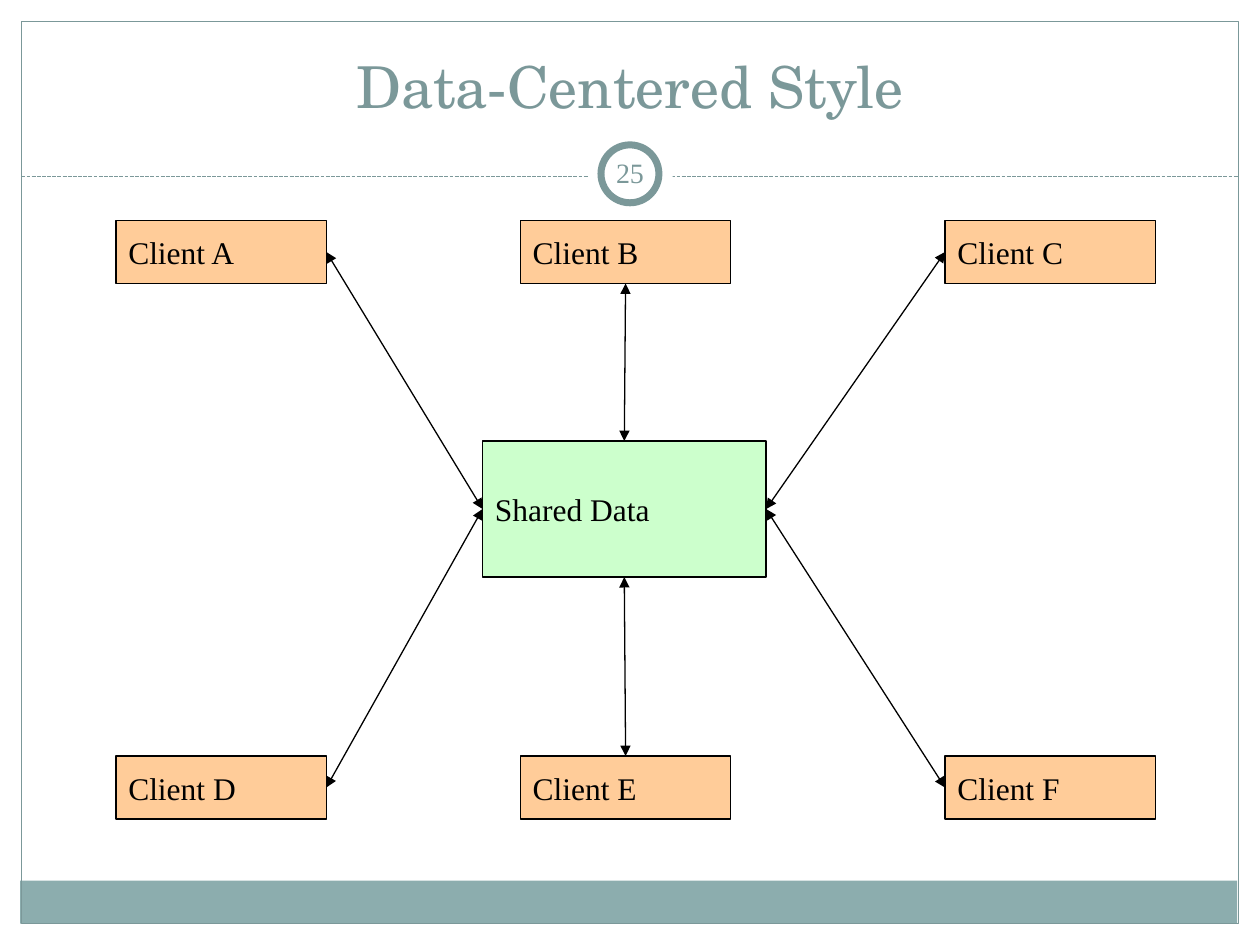
from lxml.etree import SubElement
from pptx import Presentation
from pptx.dml.color import RGBColor
from pptx.enum.dml import MSO_LINE
from pptx.enum.shapes import MSO_CONNECTOR, MSO_SHAPE
from pptx.enum.text import MSO_ANCHOR, PP_ALIGN
from pptx.oxml.ns import qn
from pptx.util import Inches, Pt

WHITE = RGBColor(0xFF, 0xFF, 0xFF)
BLACK = RGBColor(0, 0, 0)
TEAL = RGBColor(0x7B, 0x98, 0x99)
LIGHT_TEAL = RGBColor(0x8C, 0xAD, 0xAE)
GREEN = RGBColor(0xCC, 0xFF, 0xCC)
ORANGE = RGBColor(0xFF, 0xCC, 0x99)
SERIF = "Times New Roman"


def add_box(kind, left, top, width, height, fill=None, line=None, weight=0.75):
    shape = slide.shapes.add_shape(
        kind, Inches(left), Inches(top), Inches(width), Inches(height))
    shape.shadow.inherit = False
    if fill is None:
        shape.fill.background()
    else:
        shape.fill.solid()
        shape.fill.fore_color.rgb = fill
    if line is None:
        shape.line.fill.background()
    else:
        shape.line.color.rgb = line
        shape.line.width = Pt(weight)
    return shape


def write_text(shape, text, size, font, color, align, anchor=MSO_ANCHOR.MIDDLE, side=0.1):
    frame = shape.text_frame
    frame.word_wrap = True
    frame.vertical_anchor = anchor
    frame.margin_left = frame.margin_right = Inches(side)
    frame.margin_top = frame.margin_bottom = Inches(0.05)
    paragraph = frame.paragraphs[0]
    paragraph.alignment = align
    run = paragraph.add_run()
    run.text = text
    run.font.size = Pt(size)
    run.font.name = font
    run.font.color.rgb = color


presentation = Presentation()
presentation.slide_width = Inches(10)
presentation.slide_height = Inches(7.5)
slide = presentation.slides.add_slide(presentation.slide_layouts[6])

add_box(MSO_SHAPE.RECTANGLE, 0.16, 6.99, 9.66, 0.34, LIGHT_TEAL)
add_box(MSO_SHAPE.RECTANGLE, 0.17, 0.17, 9.66, 7.16, line=TEAL)
divider = slide.shapes.add_connector(
    MSO_CONNECTOR.STRAIGHT, Inches(0.17), Inches(1.4), Inches(9.83), Inches(1.4))
divider.line.color.rgb = TEAL
divider.line.width = Pt(0.75)
divider.line.dash_style = MSO_LINE.SQUARE_DOT
SubElement(divider._element.spPr, qn("a:effectLst"))
add_box(MSO_SHAPE.OVAL, 4.67, 1.05, 0.67, 0.67, WHITE)
add_box(MSO_SHAPE.OVAL, 4.77, 1.15, 0.46, 0.46, WHITE, TEAL, 4)

number = slide.shapes.add_textbox(Inches(4.75), Inches(1.13), Inches(0.5), Inches(0.48))
write_text(number, "25", 16, SERIF, TEAL, PP_ALIGN.CENTER, side=0.05)
title = slide.shapes.add_textbox(Inches(0.75), Inches(0.08), Inches(8.5), Inches(0.92))
write_text(title, "Data-Centered Style", 33, "TeX Gyre Schola", TEAL,
           PP_ALIGN.CENTER, MSO_ANCHOR.BOTTOM)

shared = add_box(MSO_SHAPE.RECTANGLE, 3.83, 3.5, 2.25, 1.08, GREEN, BLACK)
write_text(shared, "Shared Data", 18, SERIF, BLACK, PP_ALIGN.LEFT)

clients = [
    ("A", 0.92, 1.75, 3, 1),
    ("B", 4.13, 1.75, 2, 0),
    ("C", 7.5, 1.75, 1, 3),
    ("D", 0.92, 6, 3, 1),
    ("E", 4.13, 6, 0, 2),
    ("F", 7.5, 6, 1, 3),
]
for letter, left, top, client_side, shared_side in clients:
    client = add_box(MSO_SHAPE.RECTANGLE, left, top, 1.67, 0.5, ORANGE, BLACK)
    write_text(client, f"Client {letter}", 18, SERIF, BLACK, PP_ALIGN.LEFT)
    arrow = slide.shapes.add_connector(MSO_CONNECTOR.STRAIGHT, 0, 0, 0, 0)
    arrow.begin_connect(client, client_side)
    arrow.end_connect(shared, shared_side)
    arrow.line.color.rgb = BLACK
    arrow.line.width = Pt(0.75)
    for end in ("a:headEnd", "a:tailEnd"):
        SubElement(arrow.line._get_or_add_ln(), qn(end), type="triangle")
    SubElement(arrow._element.spPr, qn("a:effectLst"))

presentation.save("out.pptx")
